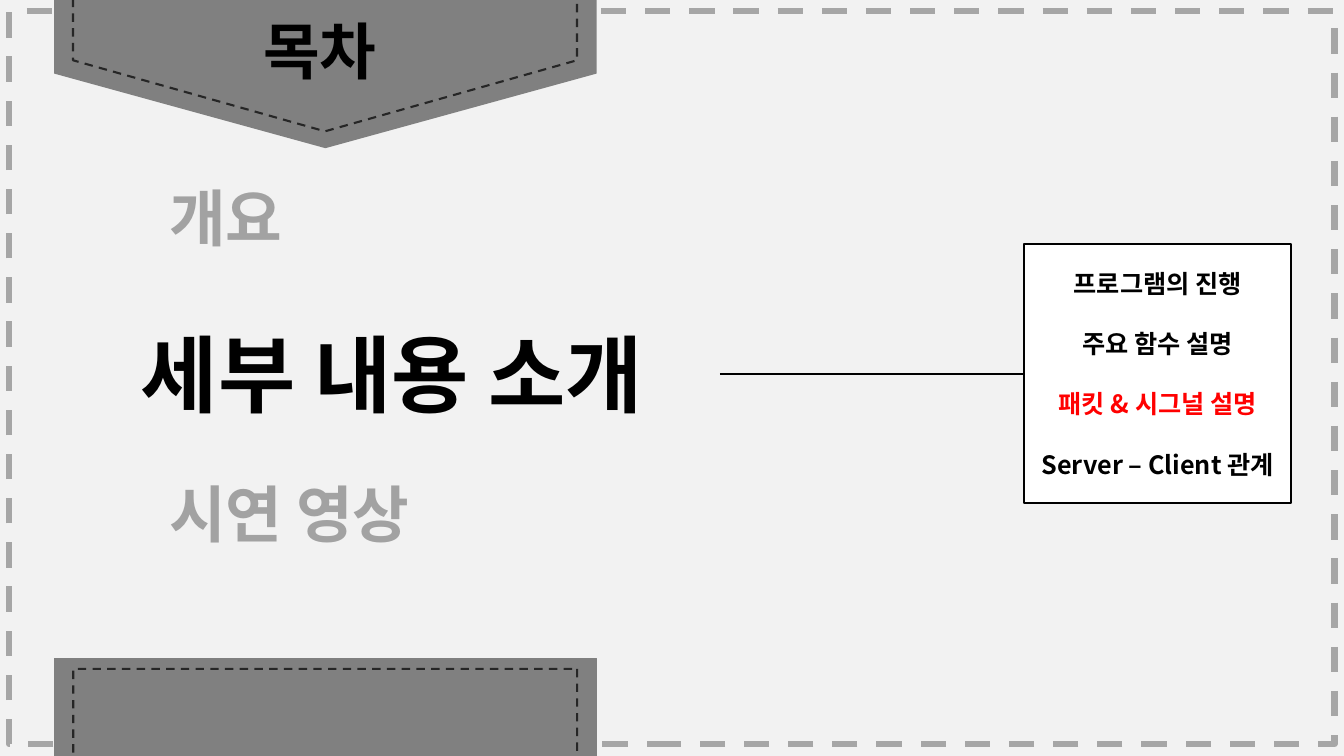
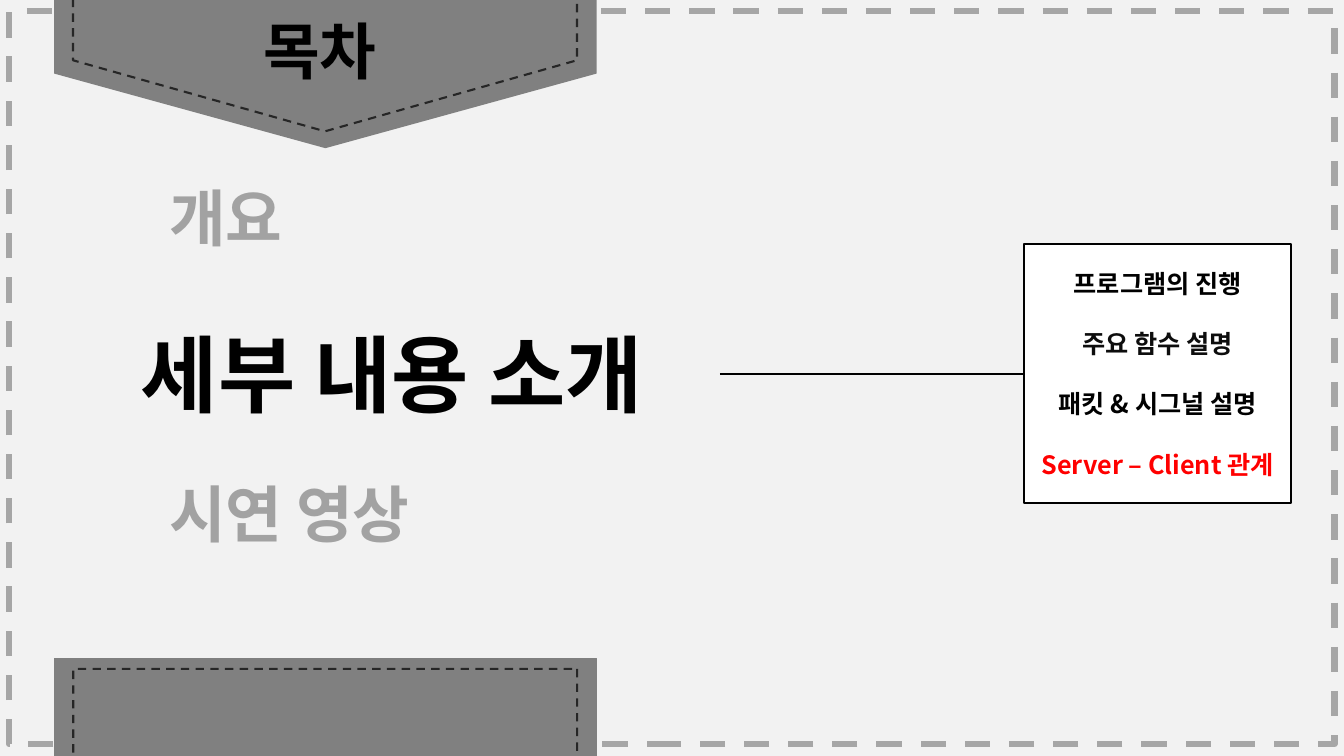
from dataclasses import dataclass
from lxml.etree import SubElement
from pptx import Presentation
from pptx.dml.color import RGBColor
from pptx.enum.dml import MSO_LINE
from pptx.enum.shapes import MSO_CONNECTOR, MSO_SHAPE
from pptx.enum.text import MSO_ANCHOR, PP_ALIGN
from pptx.oxml.ns import qn
from pptx.util import Cm, Pt


@dataclass
class Theme:
    face: str = "Noto Sans CJK KR"
    paper: str = "F2F2F2"
    edge: str = "A6A6A6"
    band: str = "808080"
    stitch: str = "262626"
    white: str = "FFFFFF"
    ink: str = "000000"
    soft: str = "0D0D0D"
    hot: str = "FF0000"
    big: int = 60
    head: int = 44
    item: int = 18


theme = Theme()
rgb = RGBColor.from_string


def block(slide, kind, box, fill=None, line=None, width=1, dash=False, turn=0):
    shape = slide.shapes.add_shape(kind, *map(Cm, box))
    shape.shadow.inherit = False
    shape.rotation = turn
    if fill:
        shape.fill.solid()
        shape.fill.fore_color.rgb = rgb(fill)
    else:
        shape.fill.background()
    if line:
        shape.line.color.rgb = rgb(line)
        shape.line.width = Pt(width)
        if dash:
            shape.line.dash_style = MSO_LINE.DASH
    else:
        shape.line.fill.background()
    return shape


def write(shape, lines, size, inks, gap=0, align=PP_ALIGN.LEFT):
    frame = shape.text_frame
    frame.word_wrap = True
    frame.text = "\n".join(lines)
    for num, (para, ink) in enumerate(zip(frame.paragraphs, inks)):
        para.alignment = align
        if num:
            para.space_before = Pt(gap)
        for run in para.runs:
            font = run.font
            font.name = theme.face
            font.size = Pt(size)
            font.bold = True
            font.color.rgb = rgb(ink)
            SubElement(run._r.get_or_add_rPr(), qn("a:ea"), typeface=theme.face)


deck = Presentation()
deck.slide_width, deck.slide_height = Cm(33.87), Cm(19.05)
back = deck.slide_master.background.fill
back.solid()
back.fore_color.rgb = rgb(theme.paper)

rect, plate = MSO_SHAPE.RECTANGLE, MSO_SHAPE.PENTAGON
items = ["프로그램의 진행", "주요 함수 설명", "패킷 & 시그널 설명", "Server – Client 관계"]
pages = [
    [theme.ink, theme.ink, theme.hot, theme.ink],
    [theme.ink, theme.soft, theme.ink, theme.hot],
]
veils = [(3.3, 4.29, 12.65, 2.77), (3.3, 11.4, 12.65, 3.28)]

for inks in pages:
    slide = deck.slides.add_slide(deck.slide_layouts[6])
    block(slide, rect, (0.23, 0.28, 33.4, 18.47), line=theme.edge, width=4.5, dash=True)
    block(slide, plate, (6.32, -4.98, 3.76, 13.67), fill=theme.band, turn=90)
    block(slide, rect, (1.37, 16.59, 13.67, 2.46), fill=theme.band, line=theme.band)
    for box in [(6.4, -4.83, 3.58, 12.7), (5.11, 13.59, 6.17, 12.7)]:
        block(slide, plate, box, line=theme.stitch, width=1.5, dash=True, turn=90)

    parts = [
        ((4.01, 4.42, 7.34, 9.65), ["개요", "시연 영상"], theme.head, 158),
        ((6.38, 0.2, 3.66, 2.13), ["목차"], theme.head, 0),
        ((3.3, 8, 14.83, 2.82), ["세부 내용 소개"], theme.big, 0),
    ]
    for box, lines, size, gap in parts:
        text = slide.shapes.add_textbox(*map(Cm, box))
        write(text, lines, size, [theme.ink] * len(lines), gap)

    for box in veils:
        veil = block(slide, rect, box, fill=theme.paper, line=theme.paper)
        tint = veil._element.spPr.find(qn("a:solidFill"))[0]
        SubElement(tint, qn("a:alpha"), val="67000")

    menu = block(slide, rect, (25.81, 6.15, 6.73, 6.53), theme.white, theme.ink, 1.5)
    menu.text_frame.vertical_anchor = MSO_ANCHOR.MIDDLE
    write(menu, items, theme.item, inks, 21.5, PP_ALIGN.CENTER)

    link = slide.shapes.add_connector(
        MSO_CONNECTOR.STRAIGHT, Cm(18.14), Cm(9.42), Cm(25.81), Cm(9.42))
    link.line.color.rgb = rgb(theme.ink)
    link.line.width = Pt(1.5)
    SubElement(link._element.spPr, qn("a:effectLst"))

deck.save("out.pptx")
